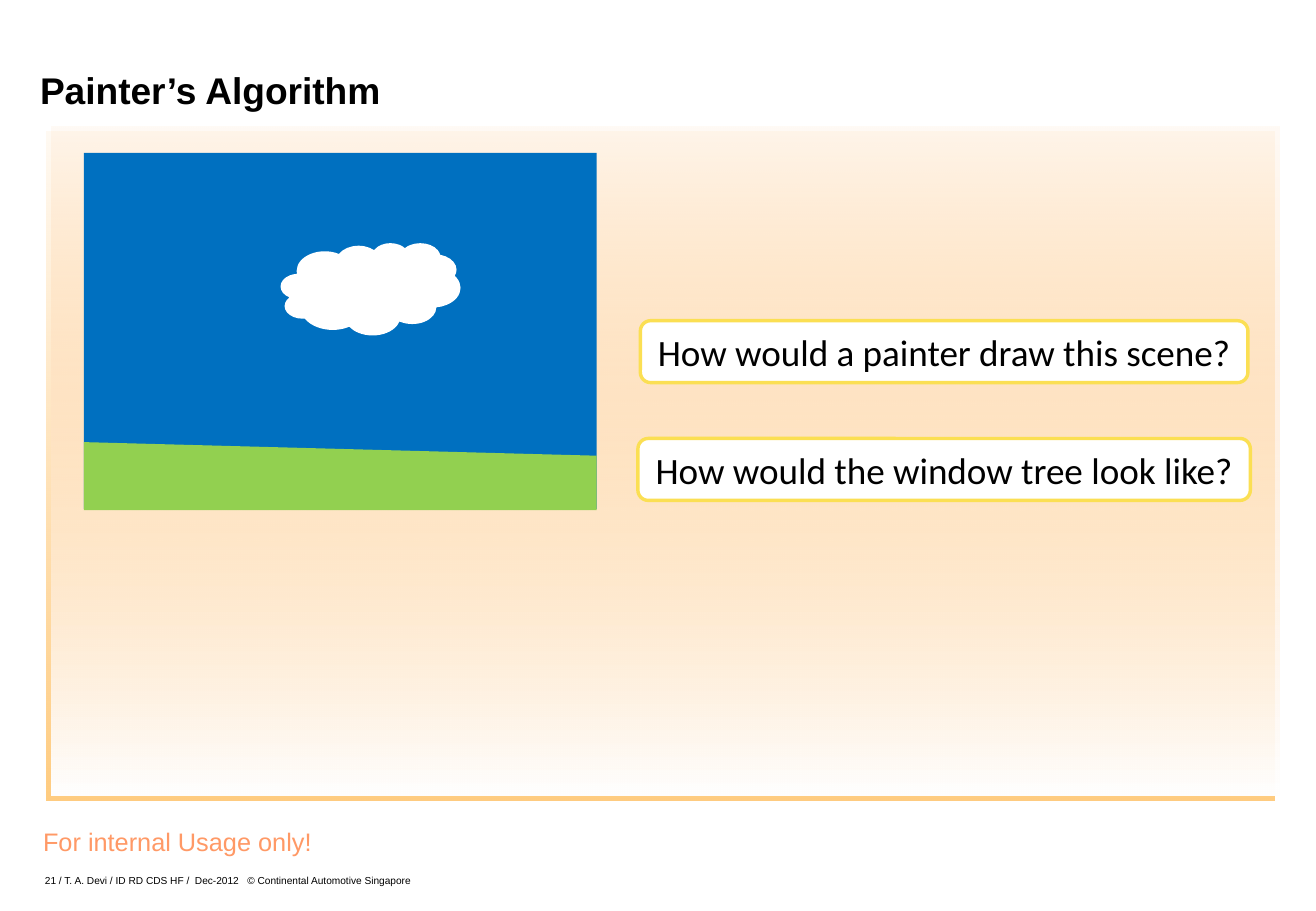
from lxml import etree
from pptx import Presentation
from pptx import util as u
from pptx.dml.color import RGBColor
from pptx.enum import shapes, text
from pptx.oxml.ns import qn

COLORS = {
    "panel": "FFCC99", "panel_shadow": "FF9900", "white": "FFFFFF",
    "notice": "FF9966", "ink": "000000", "question_border": "FBDF53",
    "sky": "0070C0", "grass": "92D050",
}

# left, top, width, height in inches
PANEL = (0.42, 1.04, 10.11, 5.51)
SHADOW_DISTANCE, SHADOW_ANGLE, SHADOW_OPACITY = 4.2, 135, 50
PANEL_OPACITY = 10

# words, place, font size, colour, bold, line spacing in points, margins
LABELS = [
    ("For internal Usage only!", (0.25, 6.75, 2.42, 0.35), 15, "notice", False, None),
    ("Painter’s Algorithm", (0.33, 0.23, 10.1, 0.69), 22, "ink", True, 24.8),
    ("21 / T. A. Devi / ID RD CDS HF /  Dec-2012   © Continental Automotive Singapore",
     (0.37, 7.14, 3.43, 0.16), 6, "ink", False, 5.5),
]

QUESTIONS = [
    ("How would a painter draw this scene?", 2.64, 5),
    ("How would the window tree look like?", 3.61, 5.04),
]
QUESTION_CENTER, QUESTION_HEIGHT = 7.77, 0.51

SCENE = [
    (shapes.MSO_SHAPE.RECTANGLE, (0.69, 1.26, 4.22, 2.93), "sky", False),
    (shapes.MSO_SHAPE.FLOWCHART_MANUAL_INPUT, (0.69, 3.64, 4.22, 0.56), "grass", True),
    (shapes.MSO_SHAPE.CLOUD, (2.31, 2, 1.48, 0.76), "white", False),
]


def rgb(name):
    return RGBColor.from_string(COLORS[name])


def inches(place):
    return [u.Inches(length) for length in place]


def add_opacity(color, percent):
    etree.SubElement(color, qn("a:alpha"), val=str(percent * 1000))


def add_plain_shape(page, kind, place):
    shape = page.shapes.add_shape(kind, *inches(place))
    shape.shadow.inherit = False
    shape.line.fill.background()
    return shape


def add_panel(page):
    panel = add_plain_shape(page, shapes.MSO_SHAPE.RECTANGLE, PANEL)
    panel.fill.gradient()
    panel.fill.gradient_angle = 270
    for stop, name, position in zip(panel.fill.gradient_stops, ("panel", "white"), (0, 1)):
        stop.color.rgb = rgb(name)
        stop.position = position
    properties = panel.element.spPr
    add_opacity(properties.find(".//" + qn("a:srgbClr")), PANEL_OPACITY)
    shadow = etree.SubElement(
        properties.find(qn("a:effectLst")), qn("a:outerShdw"),
        dist=str(u.Pt(SHADOW_DISTANCE)), dir=str(SHADOW_ANGLE * 60000),
        algn="ctr", rotWithShape="0")
    color = etree.SubElement(shadow, qn("a:srgbClr"), val=COLORS["panel_shadow"])
    add_opacity(color, SHADOW_OPACITY)


def write(frame, words, font, size, color, bold=False):
    para = frame.paragraphs[0]
    para.text = words
    para.font.name = font
    para.font.size = u.Pt(size)
    para.font.bold = bold
    para.font.color.rgb = rgb(color)
    return para


def add_label(page, words, place, size, color, bold, spacing):
    """Labels with exact line spacing sit on the bottom of a box without margins."""
    frame = page.shapes.add_textbox(*inches(place)).text_frame
    para = write(frame, words, "Arial", size, color, bold)
    if spacing is None:
        frame.word_wrap = False
        para.alignment = text.PP_ALIGN.CENTER
    else:
        frame.word_wrap = True
        frame.vertical_anchor = text.MSO_ANCHOR.BOTTOM
        frame.margin_left = frame.margin_right = 0
        frame.margin_top = frame.margin_bottom = 0
        para.line_spacing = u.Pt(spacing)


def add_question(page, words, top, width):
    place = (QUESTION_CENTER - width / 2, top, width, QUESTION_HEIGHT)
    box = add_plain_shape(page, shapes.MSO_SHAPE.FLOWCHART_ALTERNATE_PROCESS, place)
    box.fill.solid()
    box.fill.fore_color.rgb = rgb("white")
    box.line.color.rgb = rgb("question_border")
    box.line.width = u.Pt(2)
    box.text_frame.word_wrap = False
    para = write(box.text_frame, words, "Calibri", 22, "ink")
    para.alignment = text.PP_ALIGN.CENTER


def add_scene_part(page, kind, place, color, flipped):
    part = add_plain_shape(page, kind, place)
    part.fill.solid()
    part.fill.fore_color.rgb = rgb(color)
    if flipped:
        part.element.spPr.xfrm.set("flipH", "1")


def main():
    deck = Presentation()
    deck.slide_width, deck.slide_height = u.Inches(10.83), u.Inches(7.5)
    page = deck.slides.add_slide(deck.slide_layouts[6])
    add_panel(page)
    for label in LABELS:
        add_label(page, *label)
    for question in QUESTIONS:
        add_question(page, *question)
    for part in SCENE:
        add_scene_part(page, *part)
    deck.save("out.pptx")


if __name__ == "__main__":
    main()
